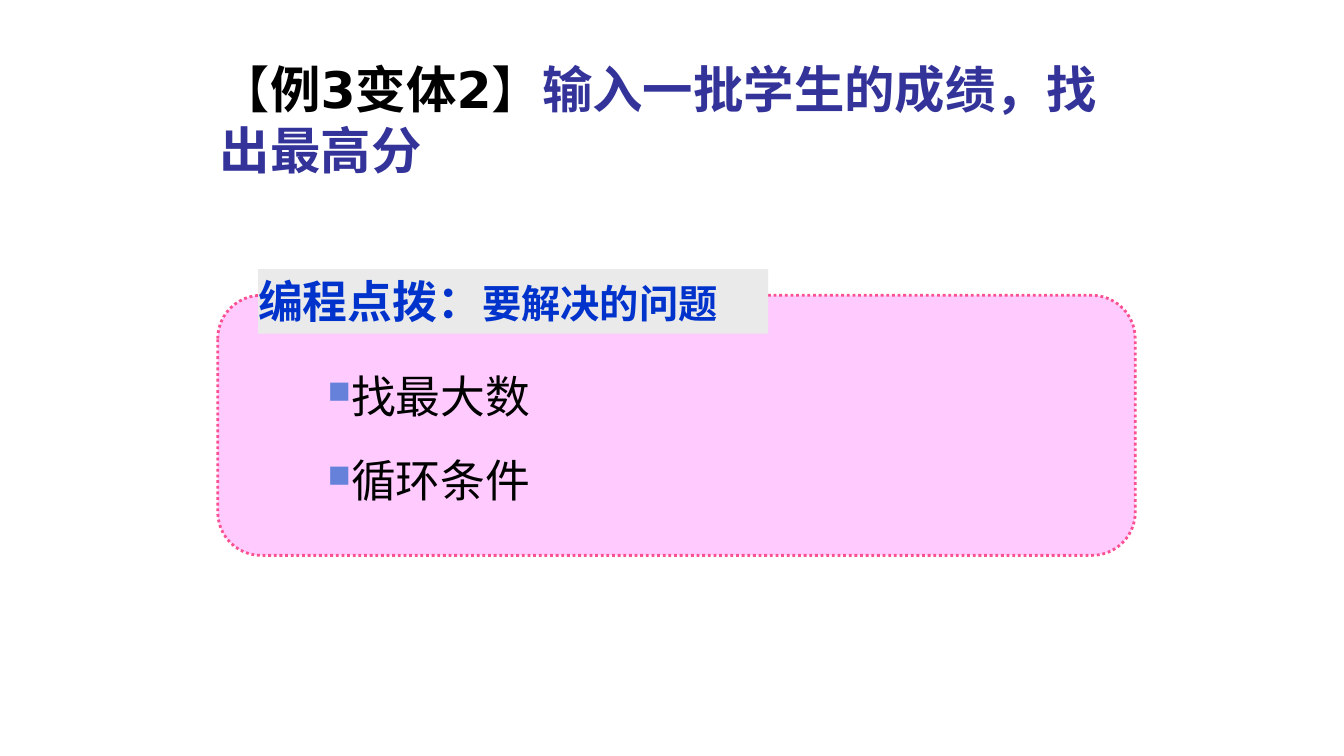
import dataclasses
from typing import Any

import lxml.etree
import pptx
import pptx.dml.color
import pptx.enum.dml
import pptx.enum.lang
import pptx.enum.shapes
import pptx.enum.text
import pptx.oxml.ns
import pptx.util

PX = 9144  # EMU in one px, 100 px to the inch

HUES = {
    "black": "000000",
    "title": "333399",
    "panel": "FF99FF",
    "edge": "F95191",
    "label": "EAEAEA",
    "head": "0033CC",
    "mark": "6581D9",
}


@dataclasses.dataclass
class Run:
    text: str
    size: int
    face: str
    hue: str
    bold: bool = False


@dataclasses.dataclass
class Item:
    text: str
    top: int
    wide: int


TITLE = [
    Run("【", 36, "DejaVu Sans", "black"),
    Run("例3变体2", 36, "DejaVu Sans", "black", True),
    Run("】", 36, "DejaVu Sans", "black"),
    Run("输入一批学生的成绩，找出最高分", 36, "DejaVu Sans", "title", True),
]
LABEL = [
    Run("编程点拨：", 32, "Times New Roman", "head", True),
    Run("要解决的问题", 28, "Times New Roman", "head", True),
]
ITEMS = [Item("找最大数", 367, 250), Item("循环条件", 450, 375)]


def rgb(hue: str) -> pptx.dml.color.RGBColor:
    return pptx.dml.color.RGBColor.from_string(HUES[hue])


def box(*sides: int) -> list[int]:
    return [side * PX for side in sides]


def assign(thing: Any, form: dict[str, Any]) -> None:
    for key, value in form.items():
        setattr(thing, key, value)


def add(node: Any, tag: str, **attrs: str) -> Any:
    return lxml.etree.SubElement(node, pptx.oxml.ns.qn(tag), attrs)


def write(para: Any, runs: list[Run]) -> None:
    para.alignment = pptx.enum.text.PP_ALIGN.LEFT
    for part in runs:
        run = para.add_run()
        run.text = part.text
        assign(run.font, {
            "size": pptx.util.Pt(part.size),
            "name": part.face,
            "bold": part.bold,
            "language_id": pptx.enum.lang.MSO_LANGUAGE_ID.SIMPLIFIED_CHINESE,
        })
        run.font.color.rgb = rgb(part.hue)


def frame(shape: Any, side: int, anchor: Any) -> Any:
    text = shape.text_frame
    assign(text, {
        "word_wrap": True,
        "auto_size": pptx.enum.text.MSO_AUTO_SIZE.NONE,
        "vertical_anchor": anchor,
        "margin_left": side * PX,
        "margin_right": side * PX,
        "margin_top": 5 * PX,
        "margin_bottom": 5 * PX,
    })
    return text.paragraphs[0]


def solid(shape: Any, hue: str) -> None:
    shape.shadow.inherit = False
    shape.fill.solid()
    shape.fill.fore_color.rgb = rgb(hue)


def title(slide: Any) -> None:
    shape = slide.shapes.title
    assign(shape, dict(zip(("left", "top", "width", "height"),
                           box(208, 53, 925, 130))))
    write(frame(shape, 10, pptx.enum.text.MSO_ANCHOR.BOTTOM), TITLE)


def panel(slide: Any) -> None:
    kinds = pptx.enum.shapes.MSO_SHAPE
    group = slide.shapes.add_group_shape()
    # Rounded panel with a dotted edge
    back = group.shapes.add_shape(kinds.ROUNDED_RECTANGLE,
                                  *box(216, 293, 910, 258))
    solid(back, "panel")
    color = back.fill._xPr.find(".//" + pptx.oxml.ns.qn("a:srgbClr"))
    add(color, "a:alpha", val="50000")
    back.line.color.rgb = rgb("edge")
    assign(back.line, {
        "width": pptx.util.Pt(2),
        "dash_style": pptx.enum.dml.MSO_LINE.ROUND_DOT,
    })
    # Label over the top edge
    label = group.shapes.add_shape(kinds.RECTANGLE, *box(256, 267, 506, 64))
    solid(label, "label")
    label.line.fill.background()
    write(frame(label, 0, pptx.enum.text.MSO_ANCHOR.TOP), LABEL)


def bullet(slide: Any, item: Item) -> None:
    shape = slide.shapes.add_textbox(*box(325, item.top, item.wide, 59))
    para = frame(shape, 0, pptx.enum.text.MSO_ANCHOR.TOP)
    para.line_spacing = 0.9
    props = para._p.get_or_add_pPr()
    add(add(props, "a:buClr"), "a:srgbClr", val=HUES["mark"])
    add(props, "a:buSzPct", val="70000")
    add(props, "a:buChar", char="■")
    write(para, [Run(item.text, 32, "Noto Sans CJK SC", "black")])


def main() -> None:
    deck = pptx.Presentation()
    assign(deck, {"slide_width": 1333 * PX, "slide_height": 750 * PX})
    slide = deck.slides.add_slide(deck.slide_layouts.get_by_name("Title Only"))
    title(slide)
    panel(slide)
    for item in ITEMS:
        bullet(slide, item)
    deck.save("out.pptx")


if __name__ == "__main__":
    main()
